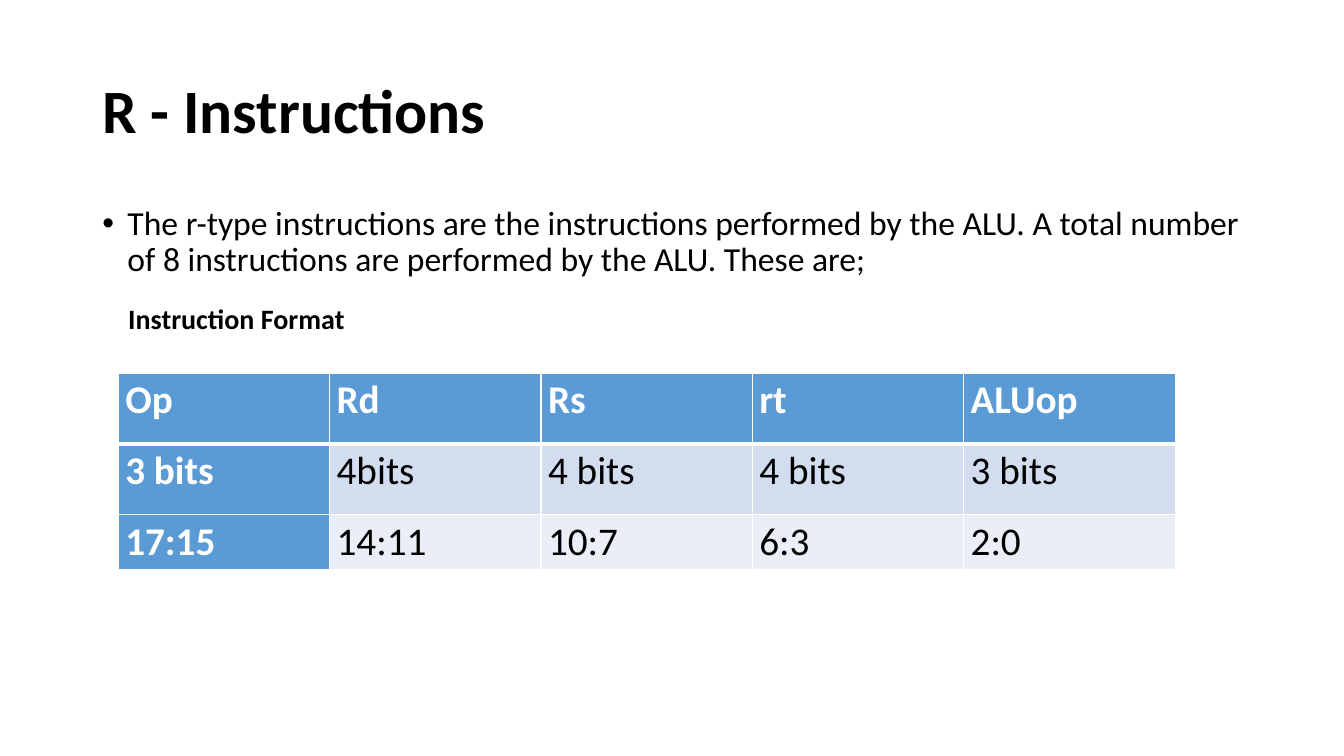
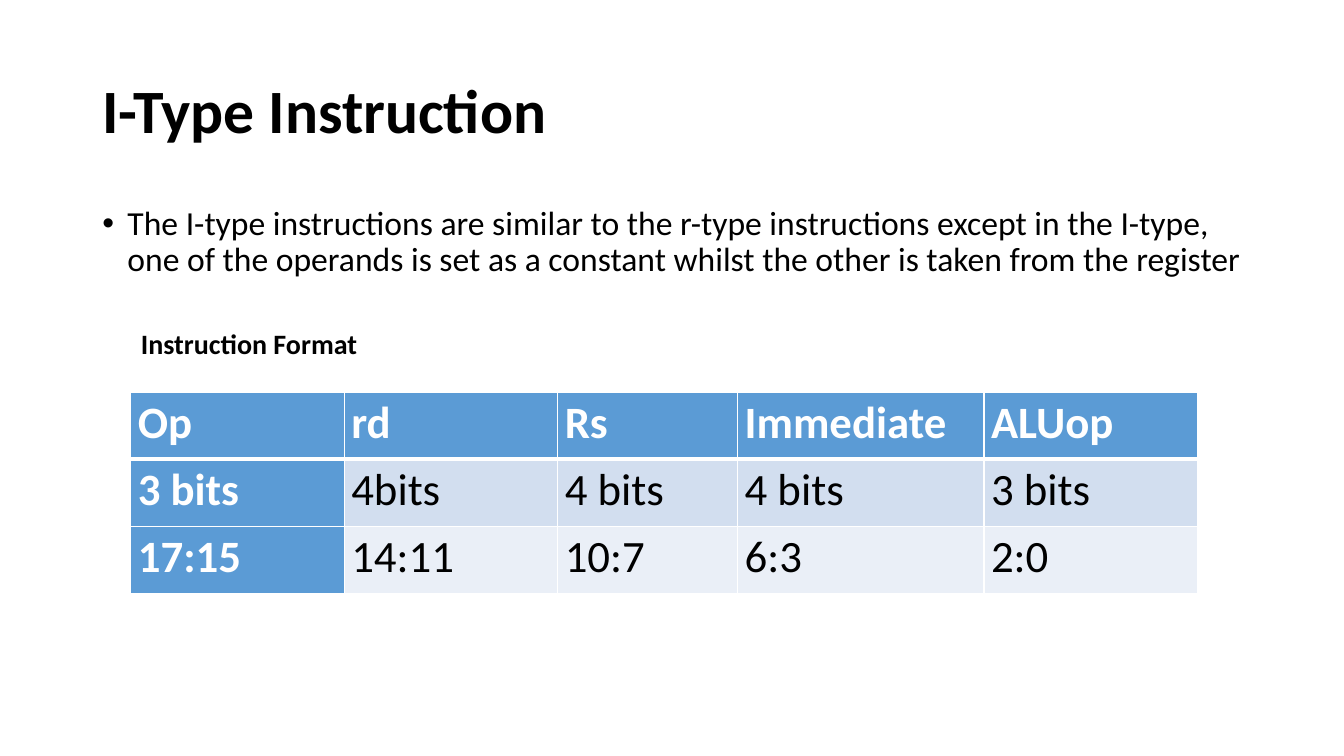
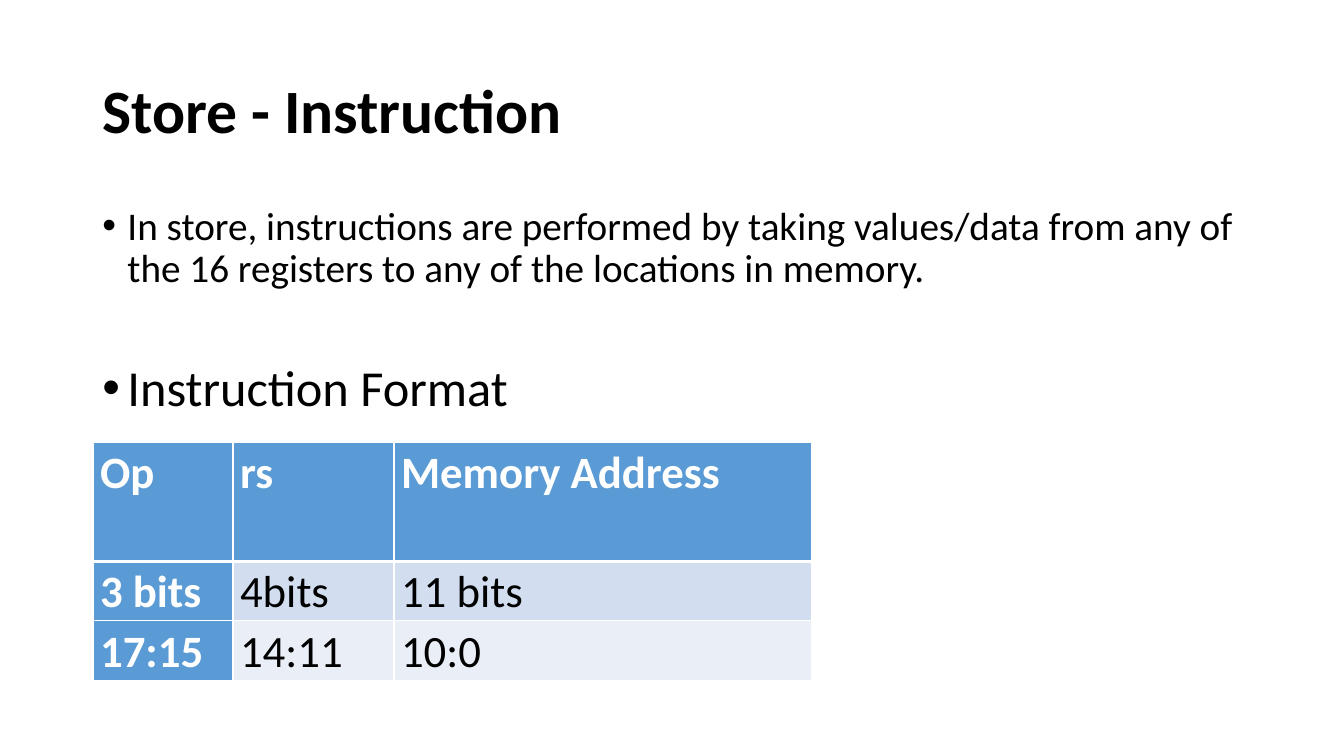
from lxml import etree
from pptx import Presentation
from pptx.dml.color import RGBColor
from pptx.enum.text import MSO_ANCHOR
from pptx.oxml.ns import qn
from pptx.util import Pt

FONT = "Calibri"
COLORS = {"text": "000000", "white": "FFFFFF", "head": "5B9BD5",
          "band_dark": "D2DEEF", "band_light": "EAEFF7"}
TITLE_BOX = (66, 29, 828, 104)
BODY_BOX = (66, 144, 828, 342)


def style(p, size, color="text", bold=False):
    for r in p.runs:
        f = r.font
        f.name, f.size, f.bold = FONT, Pt(size), bold
        f.color.rgb = RGBColor.from_string(COLORS[color])


def add_text(s, box, anchor=MSO_ANCHOR.MIDDLE):
    tf = s.shapes.add_textbox(*map(Pt, box)).text_frame
    tf.word_wrap = True
    tf.vertical_anchor = anchor
    return tf


def add_title(s, box, text):
    p = add_text(s, box).paragraphs[0]
    p.text = text
    p.line_spacing = 0.9
    style(p, 44, bold=True)


def add_label(s, box, text):
    p = add_text(s, box).paragraphs[0]
    p.text = text
    style(p, 20, bold=True)


def add_bullets(s, box, items):
    tf = add_text(s, box, MSO_ANCHOR.TOP)
    for i, (text, size, before) in enumerate(items):
        p = tf.add_paragraph() if i else tf.paragraphs[0]
        p.text = text
        p.line_spacing = 0.9
        p.space_before = Pt(before)
        style(p, size)
        pPr = p._p.get_or_add_pPr()
        pPr.set("marL", str(Pt(18)))
        pPr.set("indent", str(-Pt(18)))
        etree.SubElement(pPr, qn("a:buFont"), typeface="Arial")
        etree.SubElement(pPr, qn("a:buChar"), char="•")


def set_borders(cell, top, bottom):
    tcPr = cell._tc.get_or_add_tcPr()
    for side, width in (("L", 1), ("R", 1), ("T", top), ("B", bottom)):
        ln = etree.SubElement(tcPr, qn(f"a:ln{side}"), w=str(Pt(width)))
        fill = etree.SubElement(ln, qn("a:solidFill"))
        etree.SubElement(fill, qn("a:srgbClr"), val=COLORS["white"])


def add_format_table(s, left, top, widths, heights, size, rows):
    box = (left, top, sum(widths), sum(heights))
    table = s.shapes.add_table(len(rows), len(widths), *map(Pt, box)).table
    for col, width in zip(table.columns, widths):
        col.width = Pt(width)
    for i, (row, height, texts) in enumerate(zip(table.rows, heights, rows)):
        row.height = Pt(height)
        for j, (cell, text) in enumerate(zip(row.cells, texts)):
            is_head = i == 0 or j == 0
            band = "band_dark" if i % 2 else "band_light"
            set_borders(cell, 3 if i == 1 else 1, 3 if i == 0 else 1)
            cell.fill.solid()
            cell.fill.fore_color.rgb = RGBColor.from_string(COLORS["head" if is_head else band])
            cell.margin_left = cell.margin_right = Pt(5)
            cell.margin_top = cell.margin_bottom = 0
            p = cell.text_frame.paragraphs[0]
            p.text = text
            p.line_spacing = 1.07
            style(p, size, "white" if is_head else "text", is_head)


def add_instruction_slide(prs, title, bullets, table, label_box=None):
    s = prs.slides.add_slide(prs.slide_layouts[6])
    add_title(s, TITLE_BOX, title)
    add_bullets(s, BODY_BOX, bullets)
    add_format_table(s, **table)
    if label_box:
        add_label(s, label_box, "Instruction Format")


def main():
    prs = Presentation()
    prs.slide_width, prs.slide_height = Pt(960), Pt(540)
    five_fields = [["3 bits", "4bits", "4 bits", "4 bits", "3 bits"],
                   ["17:15", "14:11", "10:7", "6:3", "2:0"]]

    add_instruction_slide(
        prs, "R - Instructions",
        [("The r-type instructions are the instructions performed by the ALU. "
          "A total number of 8 instructions are performed by the ALU. These are;", 24, 10)],
        dict(left=84.5, top=266.5, widths=[151] * 5, heights=[50.5, 50.5, 39.5], size=28,
             rows=[["Op", "Rd", "Rs", "rt", "ALUop"]] + five_fields),
        (84.5, 211, 175, 32))

    add_instruction_slide(
        prs, "I-Type Instruction",
        [("The I-type instructions are similar to the r-type instructions except in the I-type, "
          "one of the operands is set as a constant whilst the other is taken from the register",
          24, 10)],
        dict(left=93.5, top=280, widths=[152.5, 152.5, 128.5, 176, 152.5], heights=[48] * 3,
             size=32, rows=[["Op", "rd", "Rs", "Immediate", "ALUop"]] + five_fields),
        (93.5, 229, 186.5, 32))

    add_instruction_slide(
        prs, "Store - Instruction",
        [("In store, instructions are performed by taking values/data from any of "
          "the 16 registers to any of the locations in memory.", 28, 10),
         ("Instruction Format", 36, 51)],
        dict(left=66.5, top=316, widths=[100, 115, 298], heights=[85, 42.5, 42.5], size=32,
             rows=[["Op", "rs", "Memory Address"],
                   ["3 bits", "4bits", "11 bits"],
                   ["17:15", "14:11", "10:0"]]))

    prs.save("out.pptx")


if __name__ == "__main__":
    main()
